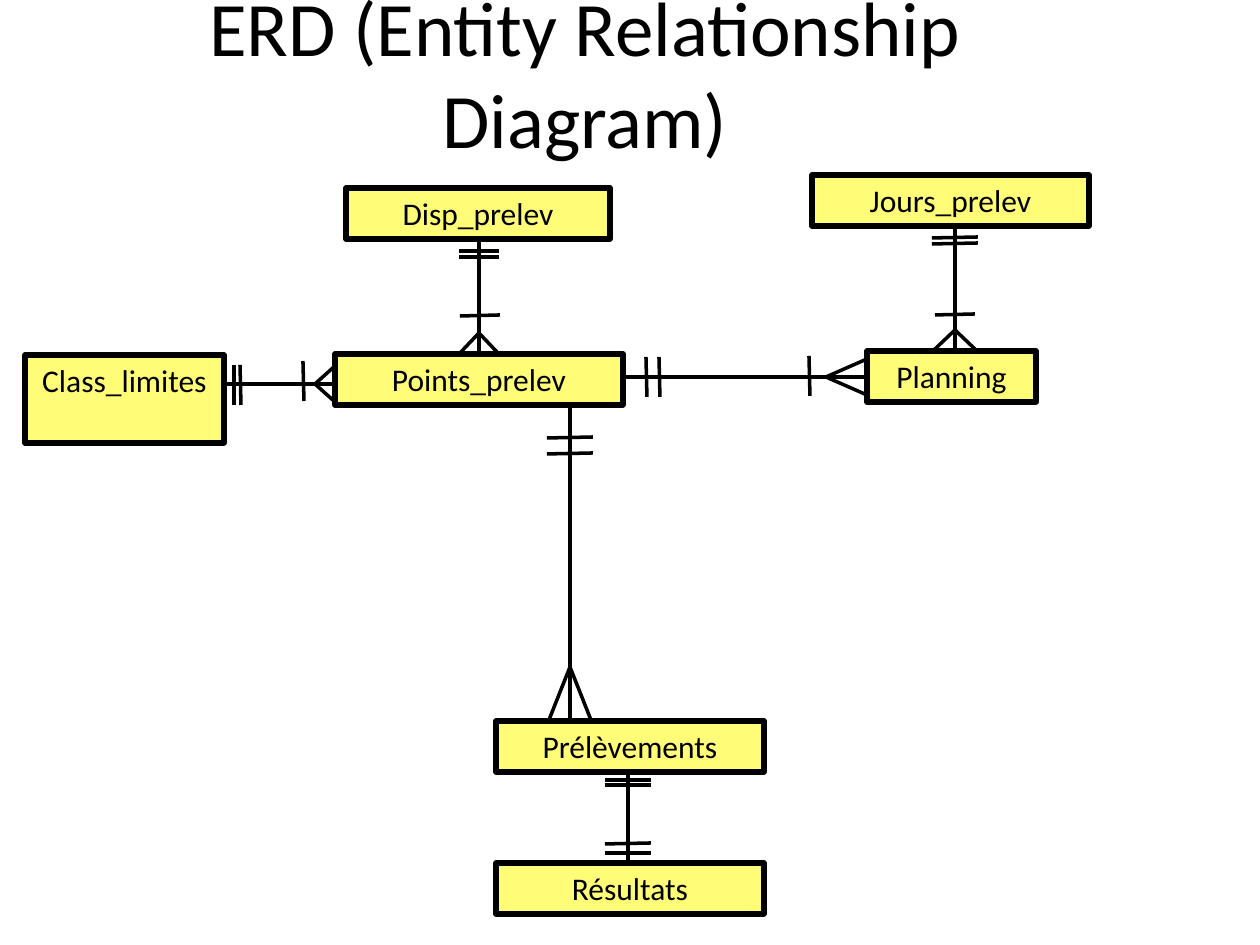
"""Build an entity relationship diagram slide with crow's foot notation."""
from lxml import etree
from pptx import Presentation, util as u
from pptx.dml.color import RGBColor
from pptx.enum import shapes, text
from pptx.oxml.ns import qn

PIXEL = u.Inches(1) // 126
THEME = {
    "font": "Calibri", "ink": RGBColor(0, 0, 0), "entity": RGBColor(0xFF, 0xFD, 0x78),
    "title": u.Pt(44), "label": u.Pt(18), "border": u.Pt(3), "line": u.Pt(2),
}

TITLE = ("ERD (Entity Relationship Diagram)", (54, 28, 1062, 87))
ENTITIES = [
    ("Disp_prelev", (346, 188, 264, 51)),
    ("Class_limites", (25, 355, 199, 88)),
    ("Jours_prelev", (812, 175, 277, 51)),
    ("Prélèvements", (496, 721, 268, 51)),
    ("Points_prelev", (335, 354, 288, 51)),
    ("Planning", (867, 351, 169, 51)),
    ("Résultats", (496, 863, 268, 51)),
]
RELATIONS = [
    {"start": (335, 384), "length": 112, "vertical": False, "foot": (20, 18),
     "ticks": [(32, -3, 20, -1), (95, 1, 20, -1), (101, 1, 20, 0)]},
    {"start": (479, 352), "length": 113, "vertical": True, "foot": (19, 18),
     "ticks": [(36, 1, 20, 1), (95, 0, 20, 0), (101, 0, 20, 0)]},
    {"start": (867, 377), "length": 245, "vertical": False, "foot": (41, 18),
     "ticks": [(58, -1, 20, -1), (208, 0, 20, -1), (221, 0, 20, -1)]},
    {"start": (955, 350), "length": 126, "vertical": True, "foot": (20, 21),
     "ticks": [(35, 0, 20, 1), (106, 0, 23, 1), (112, 0, 23, 1)]},
    {"start": (570, 720), "length": 313, "vertical": True, "foot": (53, 21),
     "ticks": [(266, 0, 23, 1), (282, 0, 23, 1)]},
    {"start": (628, 863), "length": 92, "vertical": True, "foot": None,
     "ticks": [(10, 0, 23, 0), (19, 0, 23, 1), (78, 0, 23, 0), (83, 0, 23, 0)]},
]


def emu(values):
    return [value * PIXEL for value in values]


def write(shape, words, size, anchor):
    frame = shape.text_frame
    frame.text = words
    frame.word_wrap = True
    frame.auto_size = text.MSO_AUTO_SIZE.NONE
    frame.vertical_anchor = anchor
    para = frame.paragraphs[0]
    para.alignment = text.PP_ALIGN.CENTER
    font = para.runs[0].font
    font.name, font.size = THEME["font"], size
    font.color.rgb = THEME["ink"]


def add_entity(page, name, place):
    box = page.shapes.add_shape(shapes.MSO_SHAPE.RECTANGLE, *emu(place))
    box.shadow.inherit = False
    box.fill.solid()
    box.fill.fore_color.rgb = THEME["entity"]
    box.line.color.rgb = THEME["ink"]
    box.line.width = THEME["border"]
    write(box, name, THEME["label"], text.MSO_ANCHOR.TOP)


def add_line(page, start, end):
    line = page.shapes.add_connector(shapes.MSO_CONNECTOR.STRAIGHT, *emu(start + end))
    line.line.color.rgb = THEME["ink"]
    line.line.width = THEME["line"]
    etree.SubElement(line._element.spPr, qn("a:effectLst"))


def add_relation(page, start, length, vertical, foot, ticks):
    x, y = start

    def point(along, across):
        return (x + across, y - along) if vertical else (x - along, y + across)

    add_line(page, start, point(length, 0))
    if foot:
        depth, spread = foot
        for side in (-spread, spread):
            add_line(page, point(depth, 0), point(0, side))
    for along, shift, half, lean in ticks:
        add_line(page, point(along, shift - half), point(along + lean, shift + half))


deck = Presentation()
deck.slide_width, deck.slide_height = u.Inches(10), u.Inches(7.5)
page = deck.slides.add_slide(deck.slide_layouts[5])
title = page.shapes.title
title.left, title.top, title.width, title.height = emu(TITLE[1])
write(title, TITLE[0], THEME["title"], text.MSO_ANCHOR.MIDDLE)
for name, place in ENTITIES:
    add_entity(page, name, place)
for relation in RELATIONS:
    add_relation(page, **relation)
deck.save("out.pptx")
